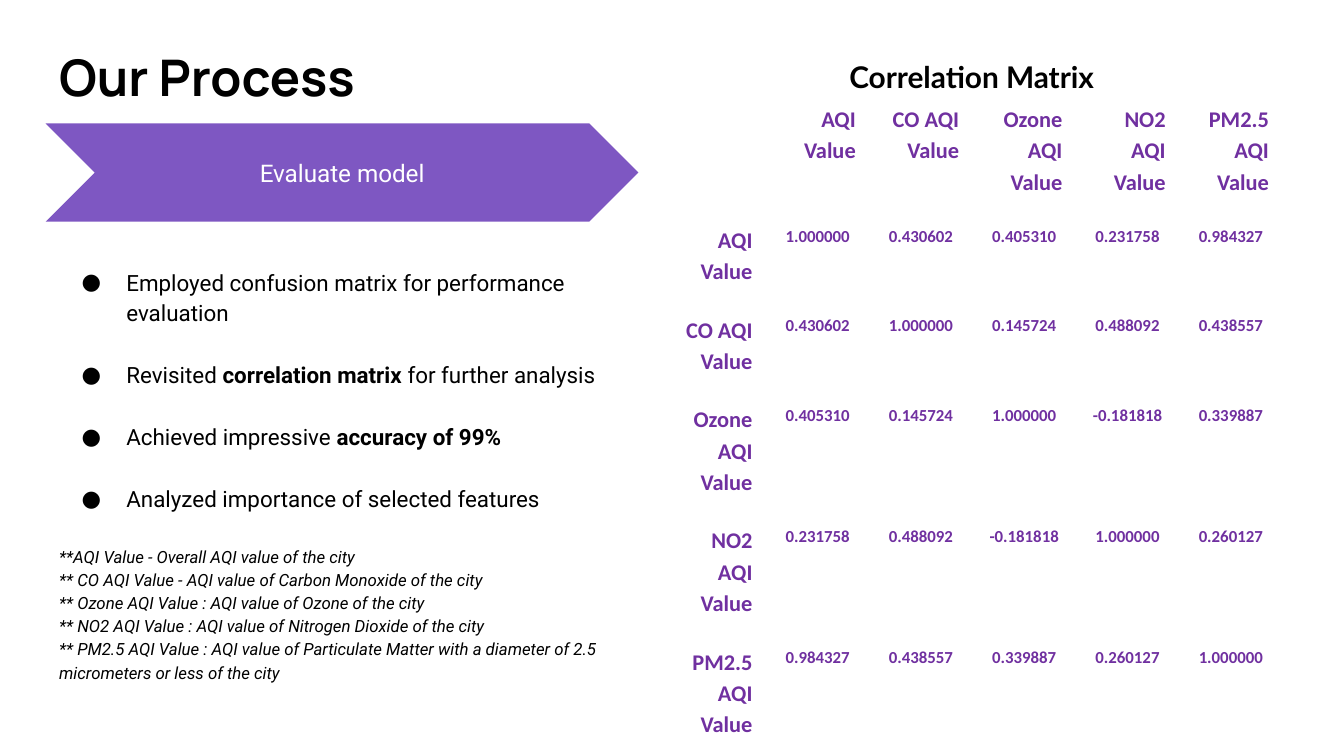
from dataclasses import dataclass

from lxml.etree import SubElement
from pptx import Presentation
from pptx.dml.color import RGBColor
from pptx.enum.shapes import MSO_SHAPE as Preset
from pptx.enum.text import MSO_ANCHOR as Anchor, MSO_AUTO_SIZE as AutoSize, PP_ALIGN as Align
from pptx.oxml.ns import qn
from pptx.util import Pt

COLORS = {"black": "000000", "white": "FFFFFF", "banner": "7E57C2", "matrix": "7030A0"}
INSET = 7.2
LINE_SPACING = 1.15
ITEM_GAP = 16.6
COLUMN_WIDTH = 55.34
ROW_HEIGHTS = {2: 46.8, 3: 63.36}


@dataclass(frozen=True)
class Style:
    font: str
    size: float
    color: str = "black"
    bold: bool = False
    italic: bool = False


@dataclass(frozen=True)
class Area:
    left: float
    top: float
    width: float
    height: float

    def lengths(self) -> tuple:
        return Pt(self.left), Pt(self.top), Pt(self.width), Pt(self.height)


@dataclass(frozen=True)
class Measure:
    label: str
    label_lines: int
    correlations: tuple[str, ...]


TITLE = Style("Manrope", 27, bold=True)
BANNER = Style("Roboto", 13, "white")
ITEM = Style("Roboto", 12)
STRONG_ITEM = Style("Roboto", 12, bold=True)
NOTE = Style("Roboto", 9, italic=True)
CAPTION = Style("Lato", 16, bold=True)
LABEL = Style("Calibri", 12, "matrix", bold=True)
VALUE = Style("Calibri", 9, "matrix", bold=True)

ITEMS = [
    [("Employed confusion matrix for performance evaluation", ITEM)],
    [("Revisited ", ITEM), ("correlation matrix", STRONG_ITEM), (" for further analysis", ITEM)],
    [("Achieved impressive ", ITEM), ("accuracy of 99%", STRONG_ITEM)],
    [("Analyzed importance of selected features", ITEM)],
]
NOTES = [
    "**AQI Value - Overall AQI value of the city",
    "** CO AQI Value - AQI value of Carbon Monoxide of the city",
    "** Ozone AQI Value : AQI value of Ozone of the city",
    "** NO2 AQI Value : AQI value of Nitrogen Dioxide of the city",
    "** PM2.5 AQI Value : AQI value of Particulate Matter with a diameter of 2.5 "
    "micrometers or less of the city",
]
MEASURES = [
    Measure("AQI Value", 2, ("1.000000",)),
    Measure("CO AQI Value", 2, ("0.430602", "1.000000")),
    Measure("Ozone AQI Value", 3, ("0.405310", "0.145724", "1.000000")),
    Measure("NO2 AQI Value", 3, ("0.231758", "0.488092", "-0.181818", "1.000000")),
    Measure("PM2.5 AQI Value", 3, ("0.984327", "0.438557", "0.339887", "0.260127", "1.000000")),
]


def add_run(para, text: str, style: Style) -> None:
    span = para.add_run()
    span.text = text
    span.font.name = style.font
    span.font.size = Pt(style.size)
    span.font.bold = style.bold
    span.font.italic = style.italic
    span.font.color.rgb = RGBColor.from_string(COLORS[style.color])


def set_insets(holder) -> None:
    holder.margin_left = holder.margin_right = Pt(INSET)
    holder.margin_top = holder.margin_bottom = Pt(INSET)


def prepare_frame(shape, anchor=Anchor.TOP):
    frame = shape.text_frame
    frame.word_wrap = True
    frame.auto_size = AutoSize.NONE
    frame.vertical_anchor = anchor
    set_insets(frame)
    return frame


def place(shape, area: Area) -> None:
    shape.left, shape.top, shape.width, shape.height = area.lengths()


def write_line(shape, text: str, style: Style, align, anchor=Anchor.TOP) -> None:
    para = prepare_frame(shape, anchor).paragraphs[0]
    para.alignment = align
    add_run(para, text, style)


def set_marker(para, bulleted: bool) -> None:
    properties = para._p.get_or_add_pPr()
    properties.set("marL", str(Pt(36) if bulleted else 0))
    properties.set("indent", str(Pt(-24) if bulleted else 0))
    if bulleted:
        color = SubElement(properties, qn("a:buClr"))
        SubElement(color, qn("a:srgbClr"), val=COLORS["black"])
        SubElement(properties, qn("a:buFont"), typeface=ITEM.font)
        SubElement(properties, qn("a:buChar"), char="●")
    else:
        SubElement(properties, qn("a:buNone"))


def write_body(shape) -> None:
    frame = prepare_frame(shape)
    entries = [(runs, True) for runs in ITEMS]
    entries += [([(note, NOTE)], False) for note in NOTES]
    for index, (runs, bulleted) in enumerate(entries):
        para = frame.add_paragraph() if index else frame.paragraphs[0]
        set_marker(para, bulleted)
        para.alignment = Align.LEFT
        para.line_spacing = LINE_SPACING
        para.space_before = Pt(ITEM_GAP if 0 < index <= len(ITEMS) else 0)
        para.space_after = Pt(0)
        for text, style in runs:
            add_run(para, text, style)


def write_cell(cell, text: str, style: Style, align) -> None:
    para = cell.text_frame.paragraphs[0]
    para.alignment = align
    para.line_spacing = LINE_SPACING
    add_run(para, text, style)


def add_matrix(slide, left: float, top: float) -> None:
    heights = [ROW_HEIGHTS[lines] for lines in (3, *(m.label_lines for m in MEASURES))]
    count = len(heights)
    area = Area(left, top, COLUMN_WIDTH * count, sum(heights))
    table = slide.shapes.add_table(count, count, *area.lengths()).table
    table.first_row = table.horz_banding = False
    for column in table.columns:
        column.width = Pt(COLUMN_WIDTH)
    for row, height in zip(table.rows, heights):
        row.height = Pt(height)
    for cell in table.iter_cells():
        cell.fill.background()
        set_insets(cell)
    for index, measure in enumerate(MEASURES, 1):
        write_cell(table.cell(0, index), measure.label, LABEL, Align.RIGHT)
        write_cell(table.cell(index, 0), measure.label, LABEL, Align.RIGHT)
        for other, value in enumerate(measure.correlations, 1):
            for row, column in {(index, other), (other, index)}:
                write_cell(table.cell(row, column), value, VALUE, Align.CENTER)


def add_banner(slide, area: Area) -> None:
    banner = slide.shapes.add_shape(Preset.CHEVRON, *area.lengths())
    banner.shadow.inherit = False
    banner.fill.solid()
    banner.fill.fore_color.rgb = RGBColor.from_string(COLORS["banner"])
    banner.line.fill.background()
    write_line(banner, "Evaluate model", BANNER, Align.CENTER, Anchor.MIDDLE)


def main() -> None:
    deck = Presentation()
    deck.slide_width, deck.slide_height = Pt(720), Pt(405)
    page = deck.slides.add_slide(deck.slide_layouts[1])
    title, body = page.placeholders
    place(title, Area(24.5, 17.3, 671, 49))
    write_line(title, "Our Process", TITLE, Align.LEFT)
    add_banner(page, Area(24.5, 66.2, 317.5, 52.6))
    place(body, Area(24.5, 134.6, 304.6, 235.4))
    write_body(body)
    add_matrix(page, 355, 47.5)
    caption = page.shapes.add_textbox(*Area(409, 24.5, 223.2, 33.8).lengths())
    write_line(caption, "Correlation Matrix", CAPTION, Align.CENTER)
    deck.save("out.pptx")


if __name__ == "__main__":
    main()
